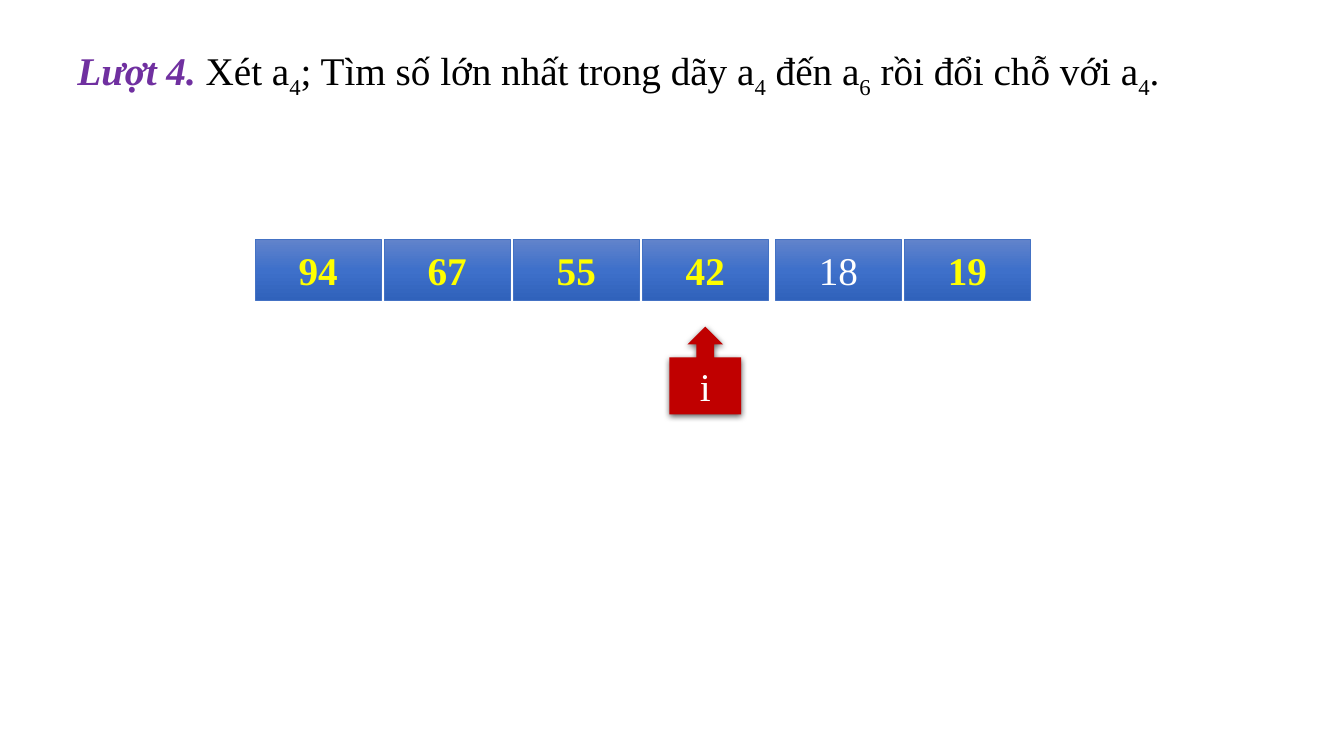
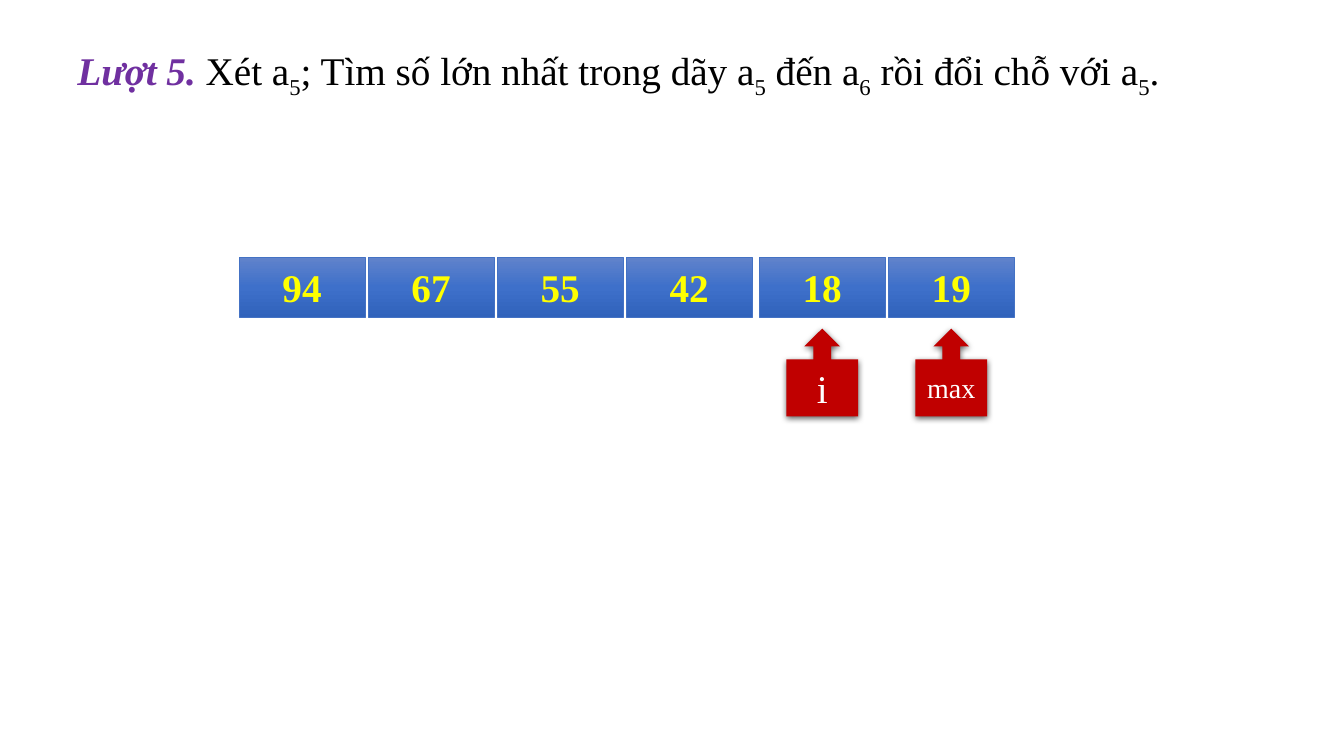
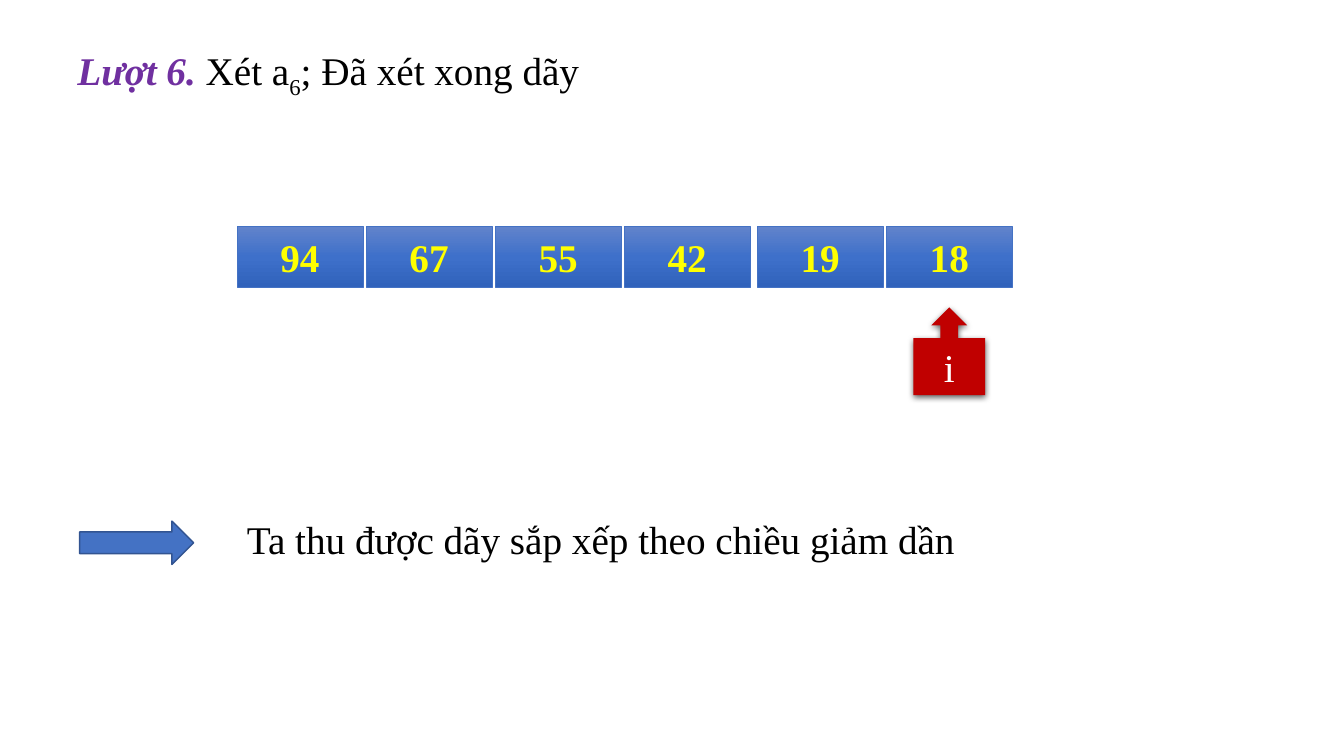
"""Build three slides on the last passes of a descending selection sort."""
from copy import deepcopy

from lxml.etree import SubElement
from pptx import Presentation
from pptx.dml.color import RGBColor
from pptx.enum.shapes import MSO_SHAPE
from pptx.enum.text import MSO_ANCHOR, MSO_AUTO_SIZE, PP_ALIGN
from pptx.oxml.ns import qn
from pptx.util import Inches, Pt

FONT = "Times New Roman"
BLACK, WHITE, YELLOW = "000000", "FFFFFF", "FFFF00"
PURPLE, RED, BLUE, NAVY = "7030A0", "C00000", "4472C4", "325491"
SHADES = [(0, "6183CB"), (0.5, "3E70CA"), (1, "3062BB")]

CELL_W, CELL_H, PITCH, SPLIT = 1.25, 0.6, 1.28, 0.04
MARK_W, MARK_H = 0.71, 0.87

SWAP = "Xét a_{0}; Tìm số lớn nhất trong dãy a_{0} đến a_6 rồi đổi chỗ với a_{0}."
PASSES = [
    dict(num=4, task=SWAP, row=[94, 67, 55, 42, 18, 19], plain=[4],
         left=2.53, top=2.38, marks=[("i", 3, 28)], drop=3.24),
    dict(num=5, task=SWAP, row=[94, 67, 55, 42, 18, 19], plain=[],
         left=2.37, top=2.55, marks=[("i", 4, 28), ("max", 5, 20)], drop=3.26),
    dict(num=6, task="Xét a_{0}; Đã xét xong dãy", row=[94, 67, 55, 42, 19, 18], plain=[],
         left=2.35, top=2.25, marks=[("i", 5, 28)], drop=3.05),
]
RESULT = "Ta thu được dãy sắp xếp theo chiều giảm dần"


def rgb(code):
    """Turn a hex string into a colour."""
    return RGBColor.from_string(code)


def write(shape, text, size=28, color=BLACK, bold=False, italic=False, align=None):
    """Append text to a shape, where _ lowers the character after it."""
    para = shape.text_frame.paragraphs[0]
    if align is not None:
        para.alignment = align
    first, *rest = text.split("_")
    parts = [(first, False)]
    for part in rest:
        parts += [(part[0], True), (part[1:], False)]
    for part, low in parts:
        run = para.add_run()
        run.text = part
        font = run.font
        font.name, font.size, font.bold, font.italic = FONT, Pt(size), bold, italic
        font.color.rgb = rgb(color)
        if low:
            run._r.get_or_add_rPr().set("baseline", "-25000")


def add_text(slide, left, top, width):
    """Add an empty wrapping text box."""
    box = slide.shapes.add_textbox(Inches(left), Inches(top), Inches(width), Inches(0.57))
    box.text_frame.word_wrap = True
    box.text_frame.auto_size = MSO_AUTO_SIZE.SHAPE_TO_FIT_TEXT
    return box


def add_form(slide, kind, left, top, width, height, fill=None, line=None, weight=1):
    """Add a preset shape without a shadow."""
    form = slide.shapes.add_shape(kind, Inches(left), Inches(top), Inches(width), Inches(height))
    form.shadow.inherit = False
    form.text_frame.vertical_anchor = MSO_ANCHOR.MIDDLE
    if fill:
        form.fill.solid()
        form.fill.fore_color.rgb = rgb(fill)
    if line:
        form.line.color.rgb = rgb(line)
        form.line.width = Pt(weight)
    else:
        form.line.fill.background()
    return form


def shade(form):
    """Fill a shape with the vertical gradient of the cells."""
    form.fill.gradient()
    form.fill.gradient_angle = 270
    stops = form._element.spPr.find(qn("a:gradFill")).find(qn("a:gsLst"))
    stops.append(deepcopy(stops[0]))
    for stop, (place, code) in zip(form.fill.gradient_stops, SHADES):
        stop.position = place
        stop.color.rgb = rgb(code)


def cast(form):
    """Give a shape a soft shadow below it."""
    effects = form._element.spPr.find(qn("a:effectLst"))
    outer = SubElement(effects, qn("a:outerShdw"), blurRad=str(Pt(4.5)), dist=str(Pt(1.5)),
                       dir="5400000", algn="ctr", rotWithShape="0")
    tone = SubElement(outer, qn("a:srgbClr"), val=BLACK)
    SubElement(tone, qn("a:alpha"), val="63000")


def add_pass(slide, num, task, row, plain, left, top, marks, drop):
    """Draw the heading, the row of cells and the markers of one pass."""
    spots = [left + PITCH * n + SPLIT * (n > 3) for n in range(len(row))]
    for n, (spot, value) in enumerate(zip(spots, row)):
        cell = add_form(slide, MSO_SHAPE.RECTANGLE, spot, top, CELL_W, CELL_H,
                        line=BLUE, weight=0.5)
        shade(cell)
        write(cell, str(value), color=WHITE if n in plain else YELLOW,
              bold=n not in plain, align=PP_ALIGN.CENTER)
    for name, n, size in marks:
        mark = add_form(slide, MSO_SHAPE.UP_ARROW_CALLOUT, spots[n] + (CELL_W - MARK_W) / 2,
                        drop, MARK_W, MARK_H, fill=RED)
        cast(mark)
        write(mark, name, size=size, color=WHITE, align=PP_ALIGN.CENTER)
    head = add_text(slide, 0.67, 0.41, 12.27)
    write(head, f"Lượt {num}. ", color=PURPLE, bold=True, italic=True)
    write(head, task.format(num))


def main():
    """Build and save the slides."""
    deck = Presentation()
    deck.slide_width, deck.slide_height = Inches(13.33), Inches(7.5)
    for step in PASSES:
        slide = deck.slides.add_slide(deck.slide_layouts[6])
        add_pass(slide, **step)
    write(add_text(slide, 2.35, 5.06, 8.61), RESULT)
    add_form(slide, MSO_SHAPE.RIGHT_ARROW, 0.79, 5.17, 1.13, 0.43, fill=BLUE, line=NAVY)
    deck.save("out.pptx")


if __name__ == "__main__":
    main()
